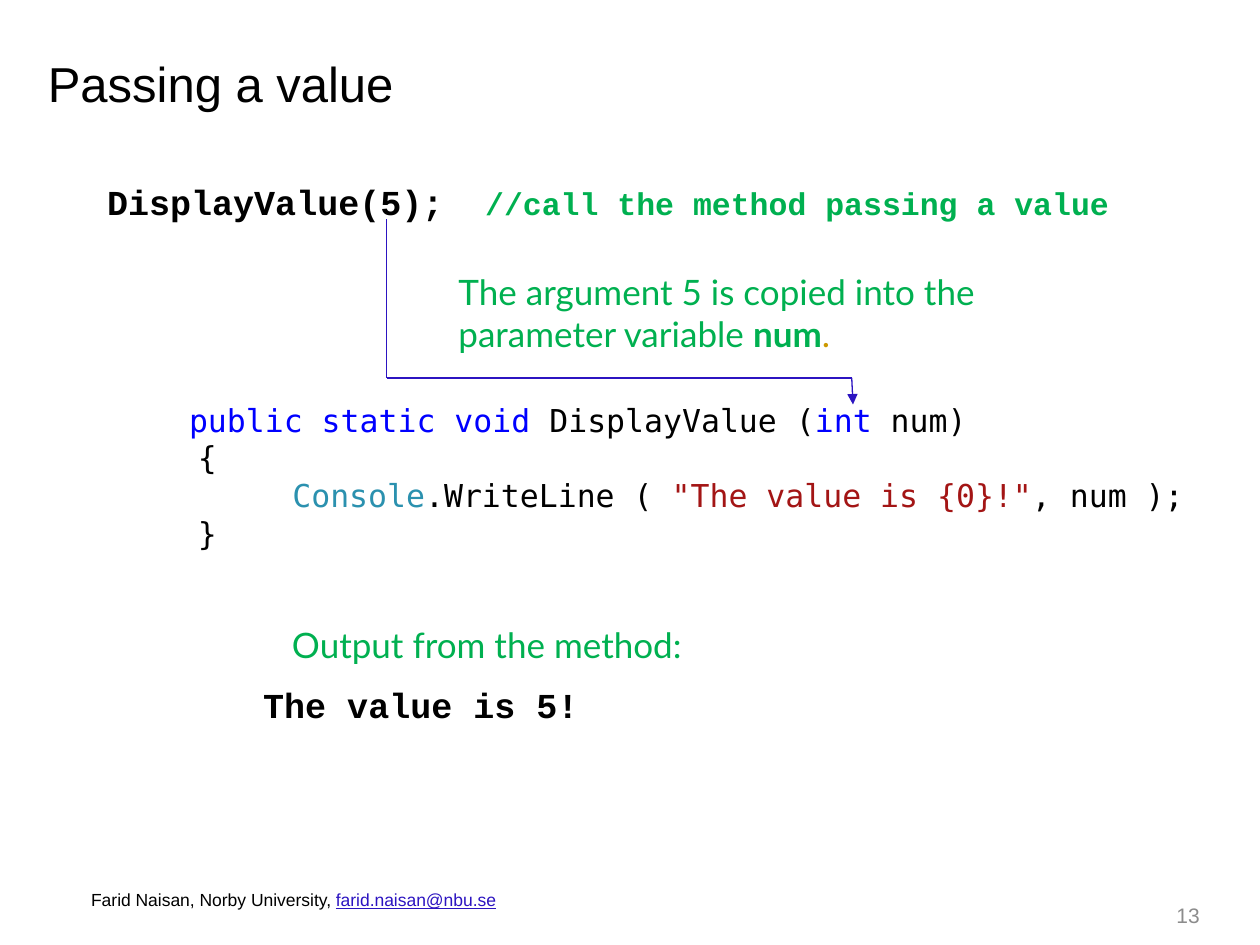
from lxml.etree import SubElement
from pptx import Presentation
from pptx.dml.color import RGBColor
from pptx.enum.shapes import MSO_CONNECTOR
from pptx.enum.text import MSO_ANCHOR, PP_ALIGN
from pptx.oxml.ns import qn
from pptx.util import Inches, Pt

INK = {"black": "000000", "green": "00B050", "key": "0000FF", "type": "2B91AF",
       "text": "A31515", "gold": "CC9900", "grey": "8C8C8C", "link": "2C14C1"}
SANS, COURIER, MONO, LATO = "Arial", "Courier New", "DejaVu Sans Mono", "Lato"

# A run is (text, colour, optional font settings).
TITLE = [("Passing a value", "black")]
CALL = [("DisplayValue(5);", "black"),
        ("\t//call the method passing a value", "green", {"size": Pt(18)})]
# Code lines: left margin in inches, runs
CODE = [
    (0.98, [("public static void ", "key"), ("DisplayValue (", "black"),
            ("int ", "key"), ("num)", "black")]),
    (1.05, [("{", "black")]),
    (1.8, [("Console", "type"), (".WriteLine ( ", "black"),
           ('"The value is {0}!"', "text"), (", num );", "black")]),
    (1.05, [("}", "black")]),
]
NOTE = [("The argument 5 is copied into the parameter variable ", "green"),
        ("num", "green", {"bold": True}), (".", "gold")]
OUTPUT = [("Output from the method:", "green")]
RESULT = [("The value is 5!", "black")]
FOOTER = [("Farid Naisan, Norby University, ", "black"),
          ("farid.naisan@nbu.se", "link", {"underline": True})]
NUMBER = [("13", "grey")]
ROUTE = [(3.07, 1.74), (3.07, 3), (6.76, 3), (6.77, 3.21)]


def place(shape, left, top, width, height):
    """Set a shape's box in inches."""
    shape.left, shape.top = Inches(left), Inches(top)
    shape.width, shape.height = Inches(width), Inches(height)


def write(para, runs, face, size, bold=False, align=PP_ALIGN.LEFT, before=0):
    """Fill a paragraph with coloured runs."""
    para.alignment = align
    para.space_before, para.space_after = Pt(before), Pt(0)
    para.font.name, para.font.size, para.font.bold = face, Pt(size), bold
    for text, ink, *more in runs:
        run = para.add_run()
        run.text = text
        run.font.color.rgb = RGBColor.from_string(INK[ink])
        for key, value in (more[0] if more else {}).items():
            setattr(run.font, key, value)


def indent(para, left, tab=None):
    """Remove the bullet, set the left margin and an optional tab stop."""
    props = para._p.get_or_add_pPr()
    props.set("marL", str(Inches(left)))
    props.set("indent", "0")
    SubElement(props, qn("a:buNone"))
    if tab:
        stops = SubElement(props, qn("a:tabLst"))
        SubElement(stops, qn("a:tab"), pos=str(Inches(tab)), algn="l")


def box(slide, at, anchor=MSO_ANCHOR.TOP):
    """Add a wrapping text box and return its frame."""
    frame = slide.shapes.add_textbox(*map(Inches, at)).text_frame
    frame.word_wrap, frame.vertical_anchor = True, anchor
    return frame


def link(slide, start, end, head):
    """Draw one leg of the route, with an arrowhead if asked."""
    line = slide.shapes.add_connector(MSO_CONNECTOR.STRAIGHT,
                                      *map(Inches, start + end))
    line.line.color.rgb = RGBColor.from_string(INK["link"])
    line.line.width = Pt(0.75)
    if head:
        SubElement(line.line._get_or_add_ln(), qn("a:tailEnd"), type="triangle")
    SubElement(line._element.spPr, qn("a:effectLst"))


def main():
    """Build the slide."""
    deck = Presentation()
    deck.slide_width, deck.slide_height = Inches(10), Inches(7.5)
    slide = deck.slides.add_slide(deck.slide_layouts[1])

    title, body = slide.placeholders
    place(title, 0.28, 0.38, 9.34, 0.55)
    title.text_frame.vertical_anchor = MSO_ANCHOR.MIDDLE
    write(title.text_frame.paragraphs[0], TITLE, SANS, 28)

    place(body, 0.42, 1.38, 9.11, 5.34)
    frame = body.text_frame
    frame.margin_right = 0
    call = frame.paragraphs[0]
    indent(call, 0.33, tab=3.34)
    write(call, CALL, COURIER, 20, bold=True)
    for row, (left, runs) in enumerate(CODE):
        para = frame.add_paragraph()
        indent(para, left)
        write(para, runs, MONO, 18, before=0 if row else 102)
        para.line_spacing = Pt(21.6)

    note = box(slide, (3.54, 2.1, 4.75, 0.77))
    write(note.paragraphs[0], NOTE, LATO, 20)

    legs = list(zip(ROUTE, ROUTE[1:]))
    for start, end in legs:
        link(slide, start, end, end == ROUTE[-1])

    result = box(slide, (1.99, 4.9, 3.75, 0.94))
    write(result.paragraphs[0], OUTPUT, LATO, 20, align=PP_ALIGN.CENTER)
    write(result.add_paragraph(), RESULT, COURIER, 20, bold=True, before=10)

    footer = box(slide, (0.41, 6.96, 3.84, 0.31), MSO_ANCHOR.BOTTOM)
    write(footer.paragraphs[0], FOOTER, SANS, 10, align=PP_ALIGN.CENTER)
    number = box(slide, (8.88, 7.06, 0.74, 0.4), MSO_ANCHOR.MIDDLE)
    write(number.paragraphs[0], NUMBER, SANS, 12, align=PP_ALIGN.RIGHT)

    deck.save("out.pptx")


main()
